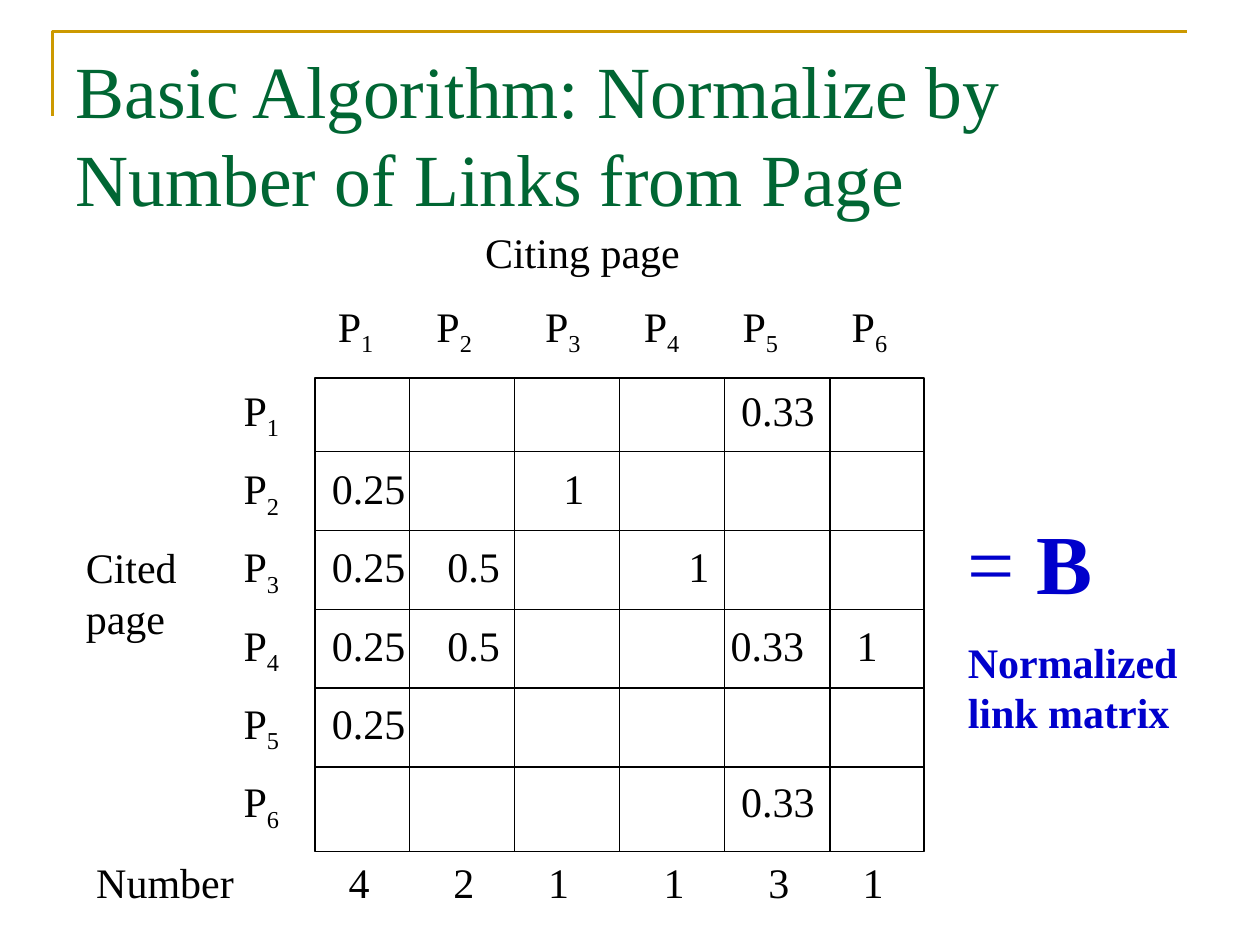
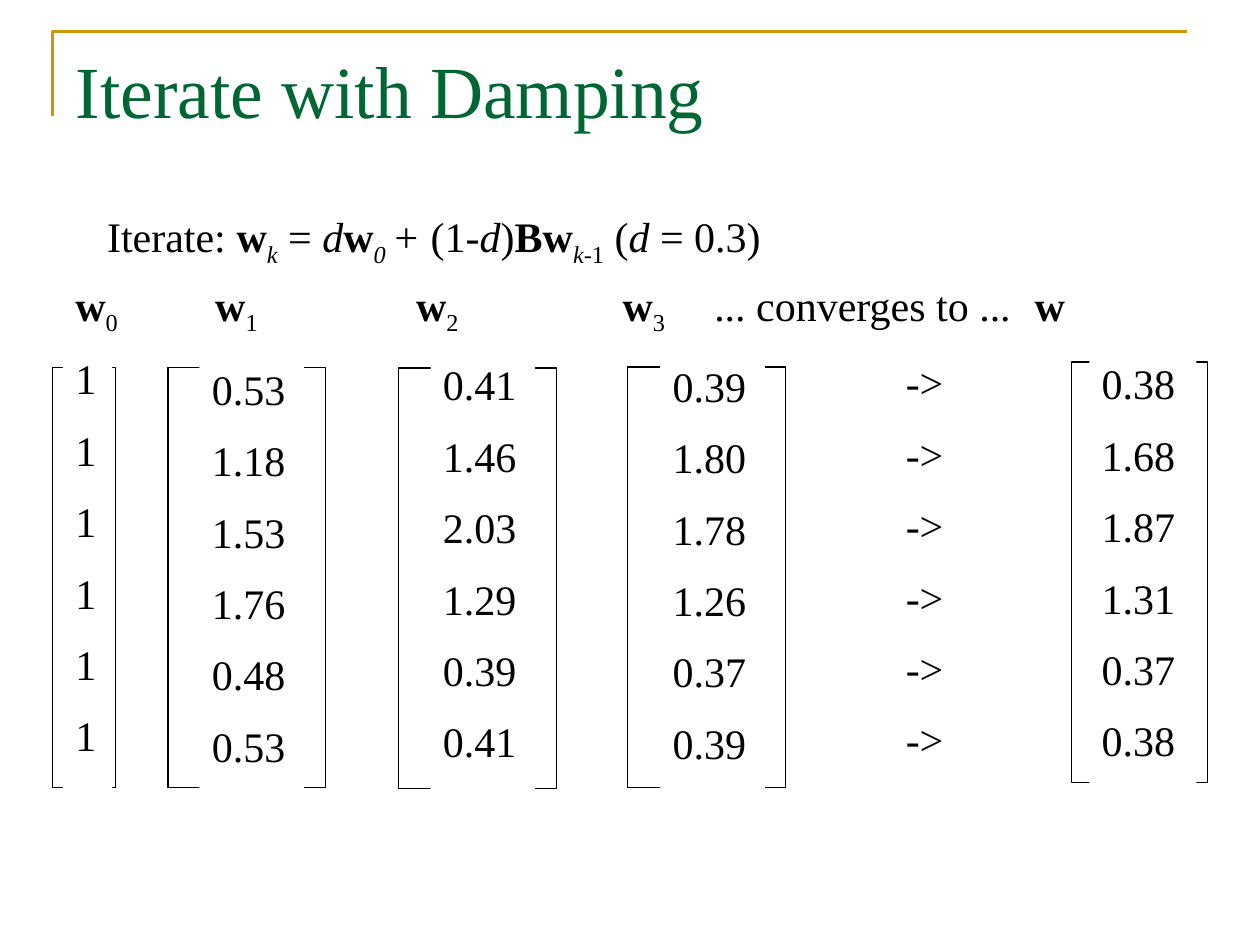
from dataclasses import dataclass
from itertools import accumulate

from lxml.etree import SubElement
from pptx import Presentation
from pptx.dml.color import RGBColor as Rgb
from pptx.enum.shapes import MSO_CONNECTOR as Connector, MSO_SHAPE as Shape
from pptx.enum.text import MSO_ANCHOR as Anchor, MSO_AUTO_SIZE as AutoSize, PP_ALIGN as Align
from pptx.oxml.ns import qn
from pptx.util import Cm, Pt


@dataclass(frozen=True)
class Theme:
    """Colours, font and type sizes of the deck."""
    font: str = "Times New Roman"
    title: Rgb = Rgb(0x00, 0x66, 0x33)
    accent: Rgb = Rgb(0xCC, 0x99, 0x00)
    ink: Rgb = Rgb(0, 0, 0)
    result: Rgb = Rgb(0x00, 0x00, 0xCC)
    paper: Rgb = Rgb(0xFF, 0xFF, 0xFF)
    title_size: int = 42
    body_size: int = 24
    symbol_size: int = 48
    paragraph_gap: int = 12
    thin_line: float = 0.75
    frame_line: float = 1.5


@dataclass(frozen=True)
class Box:
    """A rectangle in centimetres."""
    left: float
    top: float
    width: float
    height: float

    def inner(self, dx, dy, width, height):
        """Return a box offset from this one's corner."""
        return Box(self.left + dx, self.top + dy, width, height)

    def lengths(self):
        """Return left, top, width and height as lengths."""
        return [Cm(value) for value in (self.left, self.top, self.width, self.height)]


THEME = Theme()
LINE = 1.27

COLUMN_WIDTHS = [1.9] + [2.12] * 4 + [1.9]
ROW_HEIGHTS = [1.48] + [1.59] * 4 + [1.7]
HEADER_TABS = [1.99, 4.18, 6.17, 8.16, 10.36]
NUMBER_TABS = [5.09, 7.2, 9.11, 11.44, 13.55, 15.45]
LINK_COUNTS = ["4", "2", "1", "1", "3", "1"]
LINK_WEIGHTS = [
    [("0.33", 10.03)],
    [("0.25", 1.78), ("1", 6.45)],
    [("0.25", 1.78), ("0.5", 4.11), ("1", 8.97)],
    [("0.25", 1.78), ("0.5", 4.11), ("0.33", 9.82), ("1", 12.36)],
    [("0.25", 1.78)],
    [("0.33", 10.03)],
]

FORMULA = [
    ("Iterate: ", ""), ("w", "b"), ("k", "i_"), (" = ", ""), ("d", "i"), ("w", "b"),
    ("0 ", "i_"), ("+", "i"), (" (1-", ""), ("d", "i"), (")", ""), ("Bw", "b"),
    ("k", "i_"), ("-1", "_"), (" (", ""), ("d", "i"), (" = 0.3)", ""),
]
VECTOR_TABS = [2.82, 6.87, 11.03, 12.88, 19.34]
VECTOR_NAMES = [
    ("w", "b"), ("0", "_"), ("\t", ""), ("w", "b"), ("1", "_"), ("\t", ""),
    ("w", "b"), ("2", "_"), ("\t", ""), ("w", "b"), ("3", "_"),
    ("\t... converges to ...\t", ""), ("w", "b"),
]
VECTORS = [
    (Box(1.06, 7.41, 1.27, 8.47), (0.21, -0.42, 0.99), ["1"] * 6),
    (Box(3.39, 7.41, 3.18, 8.47), (0.63, -0.21, 2.11),
     ["0.53", "1.18", "1.53", "1.76", "0.48", "0.53"]),
    (Box(8.04, 7.42, 3.18, 8.47), (0.64, -0.31, 2.11),
     ["0.41", "1.46", "2.03", "1.29", "0.39", "0.41"]),
    (Box(12.65, 7.4, 3.18, 8.47), (0.66, -0.26, 2.11),
     ["0.39", "1.80", "1.78", "1.26", "0.37", "0.39"]),
    (Box(21.6, 7.3, 2.75, 8.47), (0.36, -0.21, 2.16),
     ["0.38", "1.68", "1.87", "1.31", "0.37", "0.38"]),
]


def add_spans(para, spans, size=THEME.body_size, colour=THEME.ink):
    """Add runs; the style letters are b bold, i italic, _ subscript."""
    for text, style in spans:
        span = para.add_run()
        span.text = text
        font = span.font
        font.name, font.size, font.color.rgb = THEME.font, Pt(size), colour
        font.bold, font.italic = "b" in style, "i" in style
        if "_" in style:
            span._r.get_or_add_rPr().set("baseline", "-25000")


def set_tabs(para, stops):
    """Give a paragraph left tab stops in centimetres."""
    tab_list = SubElement(para._p.get_or_add_pPr(), qn("a:tabLst"))
    for stop in stops:
        SubElement(tab_list, qn("a:tab"), pos=str(Cm(stop)), algn="l")


def fill_frame(frame, lines, tabs=(), **style):
    """Write lines of spans from the top left, with tab stops for each line."""
    frame.word_wrap = True
    frame.auto_size = AutoSize.NONE
    frame.vertical_anchor = Anchor.TOP
    for index, spans in enumerate(lines):
        para = frame.add_paragraph() if index else frame.paragraphs[0]
        if tabs:
            set_tabs(para, tabs[index])
        para.alignment = Align.LEFT
        para.space_before = Pt(THEME.paragraph_gap if index else 0)
        add_spans(para, spans, **style)


def add_text(page, box, lines, tabs=(), **style):
    """Add a text box of lines."""
    frame = page.shapes.add_textbox(*box.lengths()).text_frame
    fill_frame(frame, lines, tabs, **style)


def set_line(shape, colour=THEME.ink, width=THEME.thin_line):
    """Colour a line and set its width in points."""
    shape.line.color.rgb = colour
    shape.line.width = Pt(width)


def add_rectangle(page, box):
    """Add a bare rectangle without fill, line or shadow."""
    rectangle = page.shapes.add_shape(Shape.RECTANGLE, *box.lengths())
    rectangle.shadow.inherit = False
    rectangle.fill.background()
    rectangle.line.fill.background()
    return rectangle


def add_outline(page, box):
    """Add a rectangle with a thin outline."""
    outline = add_rectangle(page, box)
    set_line(outline)
    return outline


def add_rule(page, box):
    """Draw a thin straight line from corner to corner of a flat box."""
    left, top, width, height = box.lengths()
    rule = page.shapes.add_connector(Connector.STRAIGHT, left, top, left + width, top + height)
    SubElement(rule._element.spPr, qn("a:effectLst"))
    set_line(rule)
    return rule


def add_corner(page, box):
    """Draw the open corner line above and beside the title."""
    left, top, width, height = box.lengths()
    builder = page.shapes.build_freeform(left, top + height)
    builder.add_line_segments([(left, top), (left + width, top)], close=False)
    corner = builder.convert_to_shape()
    corner.shadow.inherit = False
    corner.fill.background()
    set_line(corner, THEME.accent, THEME.frame_line)


def add_page(deck, title, title_width):
    """Start a title-only slide with the corner line and its title."""
    page = deck.slides.add_slide(deck.slide_layouts[5])
    add_corner(page, Box(1.06, 0.64, 22.86, 1.69))
    holder = page.shapes.title
    box = Box(1.27, 0.77, title_width, 3.18)
    holder.left, holder.top, holder.width, holder.height = box.lengths()
    fill_frame(holder.text_frame, [[(title, "")]], size=THEME.title_size, colour=THEME.title)
    return page


def add_grid(page, box):
    """Draw the outline of the matrix and the rules inside it."""
    outline = add_outline(page, box)
    middle = len(COLUMN_WIDTHS) // 2
    for index, dx in enumerate(accumulate(COLUMN_WIDTHS[:-1]), start=1):
        rule = add_rule(page, box.inner(dx, 0, 0, box.height))
        if index == middle:
            rule.begin_connect(outline, 0)
            rule.end_connect(outline, 2)
    for dy in accumulate(ROW_HEIGHTS[:-1]):
        add_rule(page, box.inner(0, dy, box.width, 0))


def add_link_matrix(page, box):
    """Place the grid with its weights and the labels around it."""
    add_grid(page, box)
    page_names = [[("P", ""), (str(number), "_")] for number in range(1, 7)]
    header = list(page_names[0])
    for name in page_names[1:]:
        header += [("\t", "")] + name
    rows = [name + [("\t" + weight, "") for weight, _ in weights]
            for name, weights in zip(page_names, LINK_WEIGHTS)]
    row_tabs = [[stop for _, stop in weights] for weights in LINK_WEIGHTS]
    counts = "\t".join(["Number"] + LINK_COUNTS)
    add_text(page, box.inner(0.21, -1.69, 12.7, LINE), [header], [HEADER_TABS])
    add_text(page, box.inner(-1.69, 0, 17.35, 8.86), rows, row_tabs)
    add_text(page, box.inner(-4.87, 3.18, 2.75, 2.29), [[("Cited page", "")]])
    add_text(page, box.inner(3.18, -3.18, 5.08, LINE), [[("Citing page", "")]])
    add_text(page, box.inner(-4.66, 9.53, 18.85, LINE), [[(counts, "")]], [NUMBER_TABS])


def add_result(page, box):
    """Place the matrix symbol and its caption."""
    add_text(page, box.inner(0, 0, box.width, 2.29), [[("= ", ""), ("B", "b")]],
             size=THEME.symbol_size, colour=THEME.result)
    add_text(page, box.inner(0, 2.54, box.width, 2.29),
             [[("Normalized link matrix", "b")]], colour=THEME.result)


def add_column(page, box, values):
    """Add a white panel with one value per line."""
    panel = add_rectangle(page, box)
    panel.fill.solid()
    panel.fill.fore_color.rgb = THEME.paper
    fill_frame(panel.text_frame, [[(value, "")] for value in values])


def add_vector(page, box, inset, values):
    """Draw brackets: an outline whose middle is covered by the values."""
    add_outline(page, box)
    add_column(page, box.inner(*inset, 8.92), values)


def build_matrix_page(deck):
    """Build the slide with the normalized link matrix."""
    page = add_page(deck, "Basic Algorithm: Normalize by Number of Links from Page", 21.51)
    add_link_matrix(page, Box(6.35, 7.62, sum(COLUMN_WIDTHS), sum(ROW_HEIGHTS)))
    add_result(page, Box(19.26, 10.16, 5.3, 4.83))


def build_iteration_page(deck):
    """Build the slide with the damped iteration."""
    page = add_page(deck, "Iterate with Damping", 22.86)
    add_text(page, Box(1.91, 4.12, 15, LINE), [FORMULA])
    for box, inset, values in VECTORS:
        add_vector(page, box, inset, values)
    add_column(page, Box(18.01, 7.07, 2.11, 8.87), ["->"] * 6)
    add_text(page, Box(1.27, 5.5, 24.13, LINE), [VECTOR_NAMES], [VECTOR_TABS])


def main():
    """Build and save the deck."""
    deck = Presentation()
    deck.slide_width, deck.slide_height = Cm(25.4), Cm(19.05)
    build_matrix_page(deck)
    build_iteration_page(deck)
    deck.save("out.pptx")


if __name__ == "__main__":
    main()
